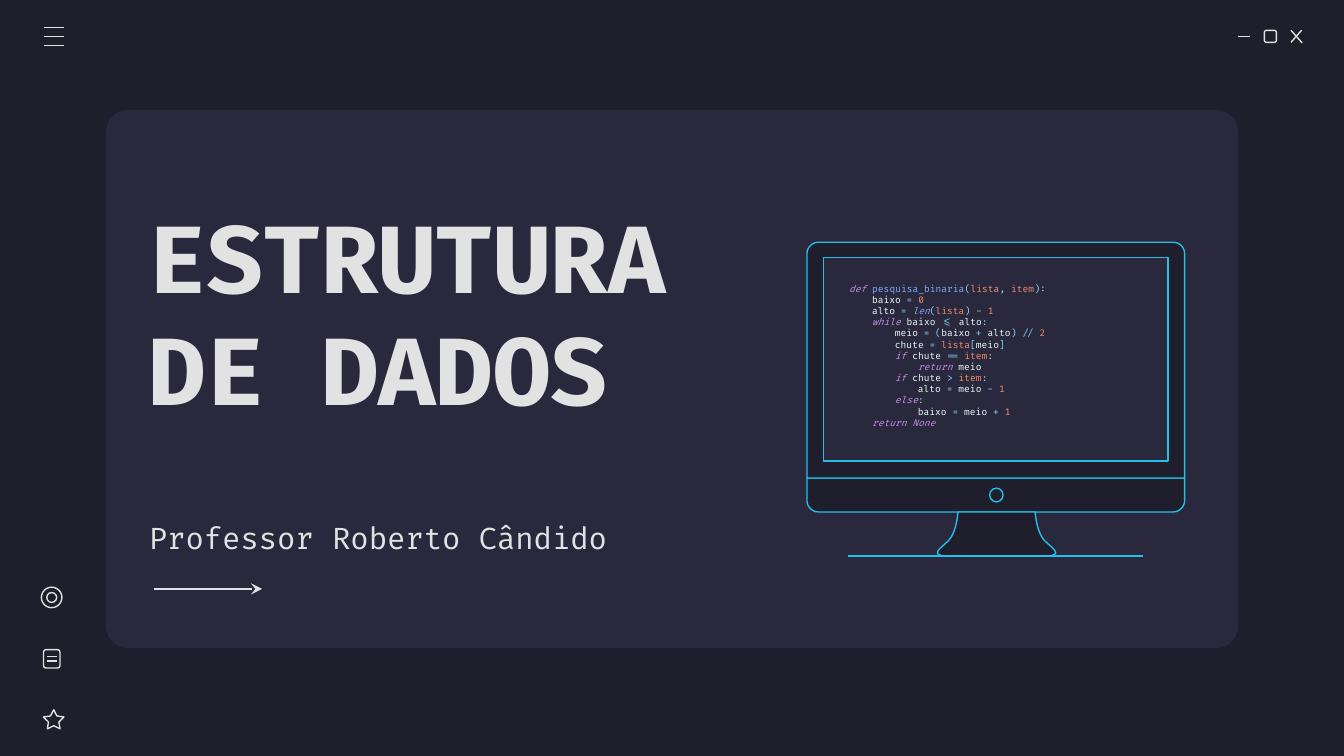
from lxml import etree
from pptx import Presentation
from pptx.dml.color import RGBColor
from pptx.enum.shapes import MSO_CONNECTOR, MSO_SHAPE
from pptx.enum.text import MSO_ANCHOR, PP_ALIGN
from pptx.oxml.ns import qn
from pptx.util import Pt

STRAIGHT = MSO_CONNECTOR.STRAIGHT
ROUNDED = MSO_SHAPE.ROUNDED_RECTANGLE
RECTANGLE = MSO_SHAPE.RECTANGLE
OVAL = MSO_SHAPE.OVAL
STAR = MSO_SHAPE.STAR_5_POINT
MIDDLE = MSO_ANCHOR.MIDDLE
LEFT = PP_ALIGN.LEFT

COLORS = {
    "background": "1E1E2C",
    "panel": "29283D",
    "light": "E2E2E2",
    "neon": "24BFEB",
    "keyword": "C792EA",
    "function": "82AAFF",
    "symbol": "89DDFF",
    "argument": "F78C6C",
    "variable": "EEFFFF",
}
TOKEN_KINDS = {
    "keyword": ("def", "while", "if", "else", "return", "return None"),
    "function": ("pesquisa_binaria", "len"),
    "argument": ("lista", "item", "0", "1", "2"),
    "variable": ("baixo", "alto", "meio", "chute"),
}
KIND_OF = {token: kind for kind, tokens in TOKEN_KINDS.items() for token in tokens}
CODE = [
    (0, "def |pesquisa_binaria|(|lista|, |item|):"),
    (1, "baixo |= |0"),
    (1, "alto |= |len|(|lista|) - |1"),
    (1, "while |baixo |<= |alto|:"),
    (2, "meio |= (|baixo |+ |alto|) // |2"),
    (2, "chute |= |lista|[|meio|]"),
    (2, "if |chute |== |item|:"),
    (3, "return |meio"),
    (2, "if |chute |> |item|:"),
    (3, "alto |= |meio |- |1"),
    (2, "else|:"),
    (3, "baixo |= |meio |+ |1"),
    (1, "return None"),
]


def color(name):
    return RGBColor.from_string(COLORS[name])


def bezier(start, first, second, end, steps=12):
    points = []
    for step in range(steps + 1):
        t = step / steps
        weights = ((1 - t) ** 3, 3 * t * (1 - t) ** 2, 3 * t**2 * (1 - t), t**3)
        points.append(tuple(
            sum(weight * point[axis] for weight, point in zip(weights, (start, first, second, end)))
            for axis in (0, 1)
        ))
    return points


def rounded_corner(start, corner, end):
    controls = [
        tuple(a + 0.55 * (b - a) for a, b in zip(point, corner)) for point in (start, end)
    ]
    return bezier(start, *controls, end)


class SlideBuilder:
    font = "Fira Code"
    line_width = 0.75
    code_size = 5
    code_indent = 12.3

    def __init__(self, slide):
        self.slide = slide
        slide.background.fill.solid()
        slide.background.fill.fore_color.rgb = color("background")

    def paint(self, shape, fill, line):
        shape.shadow.inherit = False
        if fill:
            shape.fill.solid()
            shape.fill.fore_color.rgb = color(fill)
        else:
            shape.fill.background()
        if line:
            shape.line.color.rgb = color(line)
            shape.line.width = Pt(self.line_width)
        else:
            shape.line.fill.background()
        return shape

    def shape(self, kind, left, top, width, height, fill=None, line="light", adjustment=None):
        shape = self.slide.shapes.add_shape(kind, Pt(left), Pt(top), Pt(width), Pt(height))
        if adjustment is not None:
            shape.adjustments[0] = adjustment
        return self.paint(shape, fill, line)

    def line(self, x1, y1, x2, y2, line="light", arrow=False):
        connector = self.slide.shapes.add_connector(STRAIGHT, Pt(x1), Pt(y1), Pt(x2), Pt(y2))
        connector.line.color.rgb = color(line)
        connector.line.width = Pt(self.line_width)
        if arrow:
            etree.SubElement(connector.line._get_or_add_ln(), qn("a:tailEnd"), type="stealth")
        etree.SubElement(connector._element.spPr, qn("a:effectLst"))

    def outline(self, *contours):
        builder = None
        for contour in contours:
            points = [(Pt(x), Pt(y)) for x, y in contour]
            if builder is None:
                builder = self.slide.shapes.build_freeform(*points[0])
            else:
                builder.move_to(*points[0])
            builder.add_line_segments(points[1:], close=True)
        self.paint(builder.convert_to_shape(), "background", "neon")

    def text(self, left, top, width, height, words, size, bold=False):
        frame = self.slide.shapes.add_textbox(
            Pt(left), Pt(top), Pt(width), Pt(height)).text_frame
        frame.word_wrap = True
        frame.vertical_anchor = MIDDLE
        frame.margin_left = frame.margin_right = Pt(7.2)
        frame.margin_top = frame.margin_bottom = Pt(7.2)
        paragraph = frame.paragraphs[0]
        paragraph.text = words
        paragraph.font.name = self.font
        paragraph.font.size = Pt(size)
        paragraph.font.bold = bold
        paragraph.font.color.rgb = color("light")

    def code(self, left, top, width, height, lines):
        frame = self.shape(RECTANGLE, left, top, width, height, "panel", None).text_frame
        frame.vertical_anchor = MIDDLE
        for number, (level, source) in enumerate(lines):
            paragraph = frame.add_paragraph() if number else frame.paragraphs[0]
            paragraph.alignment = LEFT
            paragraph.font.name = self.font
            paragraph.font.size = Pt(self.code_size)
            paragraph._p.get_or_add_pPr().set("marL", str(Pt(level * self.code_indent)))
            for token in source.split("|"):
                word = token.strip()
                kind = KIND_OF.get(word, "symbol")
                run = paragraph.add_run()
                run.text = token
                run.font.color.rgb = color(kind)
                run.font.italic = kind == "keyword" or word == "len"


def draw_icons(builder):
    for row in range(3):
        y = 14.7 + row * 4.85
        builder.line(23.4, y, 34.2, y)
    builder.line(663.1, 19.5, 669.8, 19.5)
    builder.shape(ROUNDED, 677.4, 16.3, 6.4, 6.4)
    builder.line(691.6, 16.2, 697.6, 23)
    builder.line(697.3, 16.2, 691.6, 22.7)
    builder.shape(STAR, 23.3, 380.2, 11, 10.3, adjustment=0.254)
    builder.shape(ROUNDED, 23.3, 348, 8.9, 9.9)
    for y in (351.7, 354.1):
        builder.line(25.2, y, 30.4, y)
    for inset in (0, 2.85):
        size = 11 - 2 * inset
        builder.shape(OVAL, 22.2 + inset, 314.6 + inset, size, size)


def draw_monitor(builder):
    left, right, top, chin, bottom, radius = 432.3, 634.6, 129.8, 256.1, 274.3, 6.2
    builder.outline(
        rounded_corner((left, bottom - radius), (left, bottom), (left + radius, bottom))
        + rounded_corner((right - radius, bottom), (right, bottom), (right, bottom - radius))
        + [(right, chin), (left, chin)])
    builder.outline(
        [(625.7, 137.9), (625.7, 247), (441.2, 247), (441.2, 137.9)],
        rounded_corner((left, top + radius), (left, top), (left + radius, top))
        + rounded_corner((right - radius, top), (right, top), (right, top + radius))
        + [(right, chin), (left, chin)])
    builder.shape(OVAL, 530.2, 261.5, 7.2, 7.4, line="neon")
    center, base = 533.9, 297.9
    right_side = (
        bezier((554.6, bottom), (554.6, bottom), (555.1, 284.4), (559.4, 289.4))
        + bezier((559.4, 289.4), (563.8, 293.8), (571, base), (558.7, base)))
    left_side = [(2 * center - x, y) for x, y in reversed(right_side)]
    builder.outline(right_side + left_side)
    builder.line(612.3, base, 454.3, base, "neon")
    builder.code(447.8, 147.6, 139.7, 85.7, CODE)


def main():
    presentation = Presentation()
    presentation.slide_width = Pt(720)
    presentation.slide_height = Pt(405)
    builder = SlideBuilder(presentation.slides.add_slide(presentation.slide_layouts[6]))
    builder.shape(ROUNDED, 56.8, 58.9, 606.5, 288.3, "panel", None, 0.04)
    builder.text(72.7, 103.7, 339.8, 126.7, "ESTRUTURA DE DADOS", 50, True)
    builder.text(72.7, 271.4, 327.6, 33.1, "Professor Roberto Cândido", 16)
    draw_icons(builder)
    builder.line(82.3, 315.5, 140.4, 315.5, arrow=True)
    draw_monitor(builder)
    presentation.save("out.pptx")


if __name__ == "__main__":
    main()
